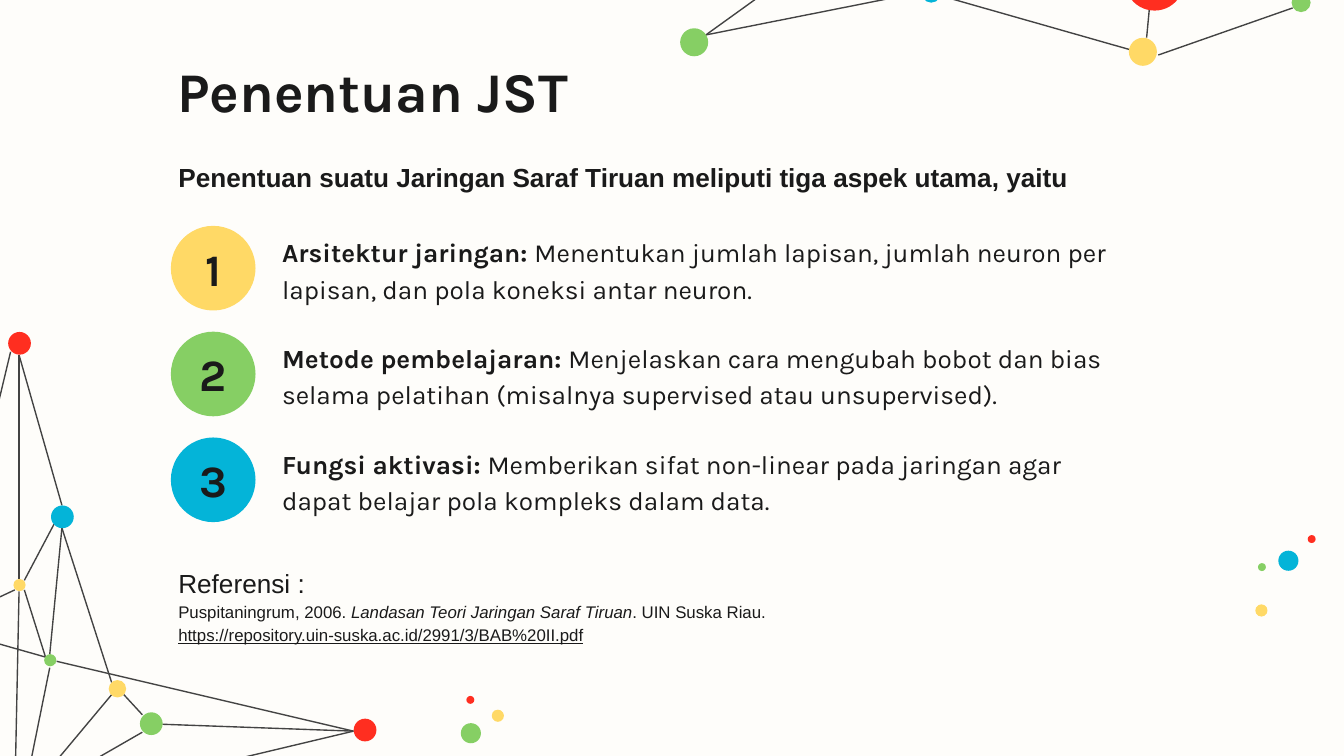
from pptx import Presentation
from pptx.dml.color import RGBColor
from pptx.enum import shapes, text
from pptx.oxml.ns import qn
from pptx.util import Cm, Pt

COLORS = {"paper": "FEFDFA", "ink": "1A1A1A", "line": "434343", "yellow": "FFD966",
          "green": "86CF64", "blue": "04B4D8", "red": "FF2E20"}
C = {name: RGBColor.from_string(value) for name, value in COLORS.items()}


def add_dot(s, x, y, d, color):
    """Draw a plain circle of diameter d centred on x, y (cm)."""
    sp = s.shapes.add_shape(shapes.MSO_SHAPE.OVAL, Cm(x - d / 2), Cm(y - d / 2), Cm(d), Cm(d))
    sp.shadow.inherit = False
    sp.fill.solid()
    sp.fill.fore_color.rgb = C[color]
    sp.line.fill.background()
    return sp


def write(sp, box, paragraphs, anchor, spacing=1.15):
    """Place a text shape and fill it with paragraphs of (text, format) runs."""
    sp.left, sp.top, sp.width, sp.height = [Cm(v) for v in box]
    tf = sp.text_frame
    frame = {"word_wrap": True, "auto_size": text.MSO_AUTO_SIZE.NONE, "vertical_anchor": anchor,
             "margin_left": Cm(0.25), "margin_right": Cm(0.25),
             "margin_top": Cm(0.25), "margin_bottom": Cm(0.25)}
    for name, value in frame.items():
        setattr(tf, name, value)
    for i, runs in enumerate(paragraphs):
        p = tf.paragraphs[0] if i == 0 else tf.add_paragraph()
        p.alignment = text.PP_ALIGN.LEFT
        p.line_spacing = spacing
        p.space_before = p.space_after = Pt(0)
        pPr = p._p.get_or_add_pPr()
        pPr.set("marL", "0")
        pPr.set("indent", "0")
        pPr.append(pPr.makeelement(qn("a:buNone"), {}))
        for words, fmt in runs:
            r = p.add_run()
            r.text = words
            r.font.color.rgb = C["ink"]
            for name, value in fmt.items():
                setattr(r.font, name, value)


prs = Presentation()
prs.slide_width, prs.slide_height = Cm(25.4), Cm(14.29)
s = prs.slides.add_slide(prs.slide_layouts[4])
s.background.fill.solid()
s.background.fill.fore_color.rgb = C["paper"]

# Network lines: x1, y1, x2, y2
links = [
    (13.34, 0.66, 17.12, -2.06), (13.34, 0.66, 17.42, -0.15), (24.43, 0.15, 21.89, 1.04),
    (21.36, 0.94, 17.78, -0.08), (21.67, 0.71, 21.72, 0.18),
    (1.07, 12.5, 6.68, 13.82), (1.17, 9.55, 0.36, 6.71), (0.36, 10.95, 0.36, 6.71),
    (0.46, 10.97, 1.02, 9.91), (0.36, 11.18, 0.28, 15.06), (0.46, 11.15, 0.86, 12.42),
    (0.43, 15.14, 0.94, 12.62), (0.51, 15.29, 6.68, 13.82), (2.11, 13.13, 0.43, 15.14),
    (1.17, 9.98, 0.94, 12.37), (1.17, 9.98, 2.11, 12.9), (0.43, 15.14, 2.69, 13.84),
    (2.34, 13.13, 2.69, 13.51), (3.07, 13.69, 6.68, 13.82), (-0.94, 11.91, 0.86, 12.42),
    (-1.02, 11.76, 0.28, 11.15), (-1.02, 11.76, 0.2, 6.65),
]
for link in links:
    line = s.shapes.add_connector(shapes.MSO_CONNECTOR.STRAIGHT, *[Cm(v) for v in link])
    line.line.color.rgb = C["line"]
    line.line.width = Pt(0.75)
    spPr = line._element.spPr
    spPr.append(spPr.makeelement(qn("a:effectLst"), {}))

# Network nodes and loose dots: centre x, centre y, diameter, colour
dots = [
    (13.12, 0.8, 0.53, "green"), (21.82, -0.36, 1.12, "red"), (17.6, -0.13, 0.36, "blue"),
    (24.59, 0.05, 0.36, "green"), (21.6, 0.98, 0.53, "yellow"),
    (6.9, 13.8, 0.43, "red"), (0.37, 6.49, 0.43, "red"), (0.37, 11.06, 0.23, "yellow"),
    (1.18, 9.77, 0.43, "blue"), (2.86, 13.68, 0.43, "green"), (2.22, 13.02, 0.33, "yellow"),
    (0.95, 12.48, 0.23, "green"),
    (23.84, 11.54, 0.23, "yellow"), (24.35, 10.6, 0.38, "blue"), (24.79, 10.19, 0.15, "red"),
    (23.85, 10.72, 0.15, "green"),
    (9.41, 13.53, 0.23, "yellow"), (8.9, 13.86, 0.38, "green"), (8.89, 13.23, 0.15, "red"),
]
for dot in dots:
    add_dot(s, *dot)

# Title and introduction
TOP, MIDDLE = text.MSO_ANCHOR.TOP, text.MSO_ANCHOR.MIDDLE
title, intro, *bodies = list(s.placeholders)[:5]
write(title, (3.1, 0.81, 18.85, 1.6),
      [[("Penentuan JST", {"name": "Karla", "size": Pt(30), "bold": True})]], TOP, 1.0)
write(intro, (3.12, 2.72, 21.41, 1.14),
      [[("Penentuan suatu Jaringan Saraf Tiruan meliputi tiga aspek utama, yaitu",
         {"name": "Arial", "size": Pt(14), "bold": True})]], TOP)

# Numbered aspects
aspects = [
    ("yellow", "Arsitektur jaringan: ",
     "Menentukan jumlah lapisan, jumlah neuron per lapisan, dan pola koneksi antar neuron."),
    ("green", "Metode pembelajaran: ",
     "Menjelaskan cara mengubah bobot dan bias selama pelatihan "
     "(misalnya supervised atau unsupervised)."),
    ("blue", "Fungsi aktivasi: ",
     "Memberikan sifat non-linear pada jaringan agar dapat belajar pola kompleks dalam data."),
]
karla = {"name": "Karla", "size": Pt(14)}
size, pitch = 1.6, 2.0
for i, (color, term, detail) in enumerate(aspects):
    top = 4.27 + i * pitch
    write(bodies[i], (5.08, top, 16.64, size),
          [[(term, {**karla, "bold": True}), (detail, {**karla, "bold": False})]], MIDDLE)
    badge = add_dot(s, 4.03, top + size / 2, size, color)
    tf = badge.text_frame
    tf.margin_left = tf.margin_right = tf.margin_top = tf.margin_bottom = 0
    tf.vertical_anchor = MIDDLE
    p = tf.paragraphs[0]
    p.alignment = text.PP_ALIGN.CENTER
    r = p.add_run()
    r.text = str(i + 1)
    r.font.color.rgb = C["ink"]
    for name, value in {"name": "Karla", "size": Pt(24), "bold": True}.items():
        setattr(r.font, name, value)

# Reference
arial = {"name": "Arial", "size": Pt(9)}
reference = s.shapes.add_textbox(0, 0, Cm(1), Cm(1))
write(reference, (3.12, 10.39, 18.64, 1.88), [
    [("Referensi :", {"name": "Arial", "size": Pt(14)})],
    [("Puspitaningrum, 2006. ", arial),
     ("Landasan Teori Jaringan Saraf Tiruan", {**arial, "italic": True}),
     (". UIN Suska Riau. ", arial),
     ("https://repository.uin-suska.ac.id/2991/3/BAB%20II.pdf", {**arial, "underline": True})],
], TOP)

# Unused date, footer and number placeholders are not inherited by the slide
prs.save("out.pptx")
